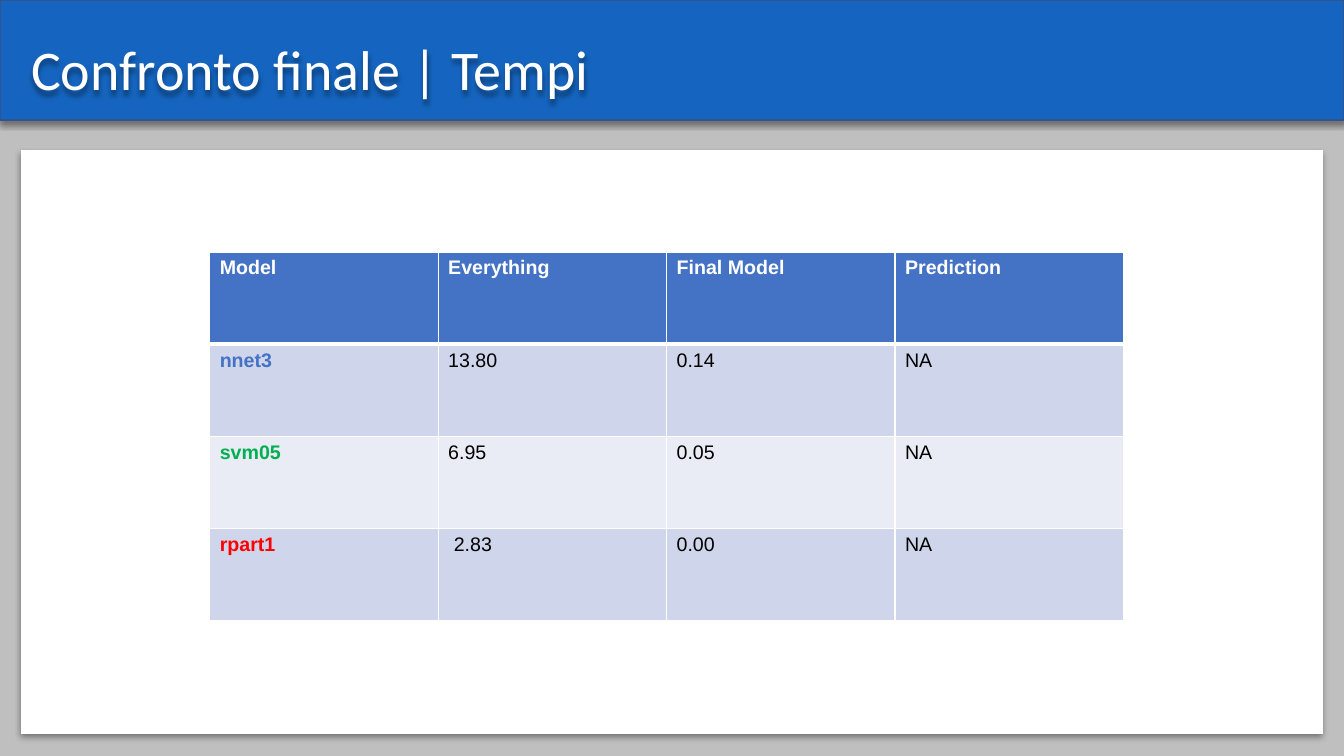
from dataclasses import dataclass

import pptx
import pptx.dml.color
import pptx.enum.shapes
import pptx.enum.text
import pptx.oxml
import pptx.oxml.ns
import pptx.util
from pptx.shapes.base import BaseShape
from pptx.slide import Slide
from pptx.table import _Cell

Pt = pptx.util.Pt
SLIDE_W = pptx.util.Inches(13.33)
SLIDE_H = pptx.util.Inches(7.5)


@dataclass(frozen=True)
class Theme:
    background: str = "BFBFBF"
    banner: str = "1565C0"
    banner_line: str = "31538F"
    white: str = "FFFFFF"
    black: str = "000000"
    header: str = "4472C4"
    bands: tuple[str, str] = ("CFD5EA", "E9EBF5")
    title_font: str = "Calibri"
    table_font: str = "Arial"
    title_size: int = 40
    table_size: int = 14


@dataclass(frozen=True)
class Box:
    """Percentages of the slide's width and height."""
    left: float
    top: float
    width: float
    height: float

    def emu(self) -> tuple[int, int, int, int]:
        return (int(SLIDE_W * self.left / 100), int(SLIDE_H * self.top / 100),
                int(SLIDE_W * self.width / 100), int(SLIDE_H * self.height / 100))


@dataclass(frozen=True)
class Panel:
    box: Box
    fill: str
    line: str | None = None


@dataclass(frozen=True)
class ModelRow:
    name: str
    color: str
    times: tuple[str, str, str]
    first_indent: float = 0  # points before the first time


THEME = Theme()
BANNER = Panel(Box(0, 0, 100, 15.87), THEME.banner, THEME.banner_line)
CARD = Panel(Box(1.58, 19.87, 96.85, 77.2), THEME.white)
TITLE_BOX = Box(1.58, 2.53, 96.85, 11.73)
TABLE_BOX = Box(15.6, 33.33, 68, 48.8)
HEADINGS = ("Model", "Everything", "Final Model", "Prediction")
MODELS = (
    ModelRow("nnet3", "4472C4", ("13.80", "0.14", "NA")),
    ModelRow("svm05", "00B050", ("6.95", "0.05", "NA")),
    ModelRow("rpart1", "FF0000", ("2.83", "0.00", "NA"), 4),
)


def rgb(color: str) -> pptx.dml.color.RGBColor:
    return pptx.dml.color.RGBColor.from_string(color)


def add_shadow(sp: BaseShape) -> None:
    sp.shadow.inherit = False
    effects = sp._element.spPr.find(pptx.oxml.ns.qn("a:effectLst"))
    effects.append(pptx.oxml.parse_xml(
        f'<a:outerShdw {pptx.oxml.ns.nsdecls("a")} blurRad="{Pt(4)}" dist="{Pt(3)}" '
        f'dir="5400000" algn="t" rotWithShape="0"><a:srgbClr val="{THEME.black}">'
        '<a:alpha val="40000"/></a:srgbClr></a:outerShdw>'))


def add_panel(slide: Slide, panel: Panel) -> None:
    sp = slide.shapes.add_shape(pptx.enum.shapes.MSO_SHAPE.RECTANGLE, *panel.box.emu())
    sp.fill.solid()
    sp.fill.fore_color.rgb = rgb(panel.fill)
    if panel.line:
        sp.line.color.rgb = rgb(panel.line)
        sp.line.width = Pt(1)
    else:
        sp.line.fill.background()
    add_shadow(sp)


def add_title(slide: Slide, text: str) -> None:
    sp = slide.shapes.add_textbox(*TITLE_BOX.emu())
    add_shadow(sp)
    tf = sp.text_frame
    tf.word_wrap = True
    tf.vertical_anchor = pptx.enum.text.MSO_ANCHOR.BOTTOM
    p = tf.paragraphs[0]
    p.text = text
    p.line_spacing = 0.9
    p.font.name = THEME.title_font
    p.font.size = Pt(THEME.title_size)
    p.font.color.rgb = rgb(THEME.white)


def set_borders(cell: _Cell, top: int, bottom: int) -> None:
    """Draw white borders; widths are in points and the sides take 1."""
    for side, width in (("L", 1), ("R", 1), ("T", top), ("B", bottom)):
        cell._tc.get_or_add_tcPr().append(pptx.oxml.parse_xml(
            f'<a:ln{side} {pptx.oxml.ns.nsdecls("a")} w="{Pt(width)}"><a:solidFill>'
            f'<a:srgbClr val="{THEME.white}"/></a:solidFill></a:ln{side}>'))


def fill_cell(cell: _Cell, text: str, fill: str, color: str, bold: bool) -> None:
    cell.fill.solid()
    cell.fill.fore_color.rgb = rgb(fill)
    p = cell.text_frame.paragraphs[0]
    p.text = text
    p.font.name = THEME.table_font
    p.font.size = Pt(THEME.table_size)
    p.font.bold = bold
    p.font.color.rgb = rgb(color)


def add_times_table(slide: Slide) -> None:
    table = slide.shapes.add_table(
        len(MODELS) + 1, len(HEADINGS), *TABLE_BOX.emu()).table
    for r in range(len(MODELS) + 1):
        for c in range(len(HEADINGS)):
            set_borders(table.cell(r, c), 3 if r == 1 else 1, 3 if r == 0 else 1)
    for c, heading in enumerate(HEADINGS):
        fill_cell(table.cell(0, c), heading, THEME.header, THEME.white, True)
    for r, model in enumerate(MODELS, start=1):
        band = THEME.bands[(r - 1) % 2]
        fill_cell(table.cell(r, 0), model.name, band, model.color, True)
        for c, time in enumerate(model.times, start=1):
            fill_cell(table.cell(r, c), time, band, THEME.black, False)
        if model.first_indent:
            first = table.cell(r, 1)
            first.margin_left = first.margin_left + Pt(model.first_indent)


def main() -> None:
    prs = pptx.Presentation()
    prs.slide_width, prs.slide_height = SLIDE_W, SLIDE_H
    slide = prs.slides.add_slide(prs.slide_layouts[6])
    slide.background.fill.solid()
    slide.background.fill.fore_color.rgb = rgb(THEME.background)
    add_panel(slide, BANNER)
    add_title(slide, "Confronto finale | Tempi")
    add_panel(slide, CARD)
    add_times_table(slide)
    prs.save("out.pptx")


if __name__ == "__main__":
    main()
